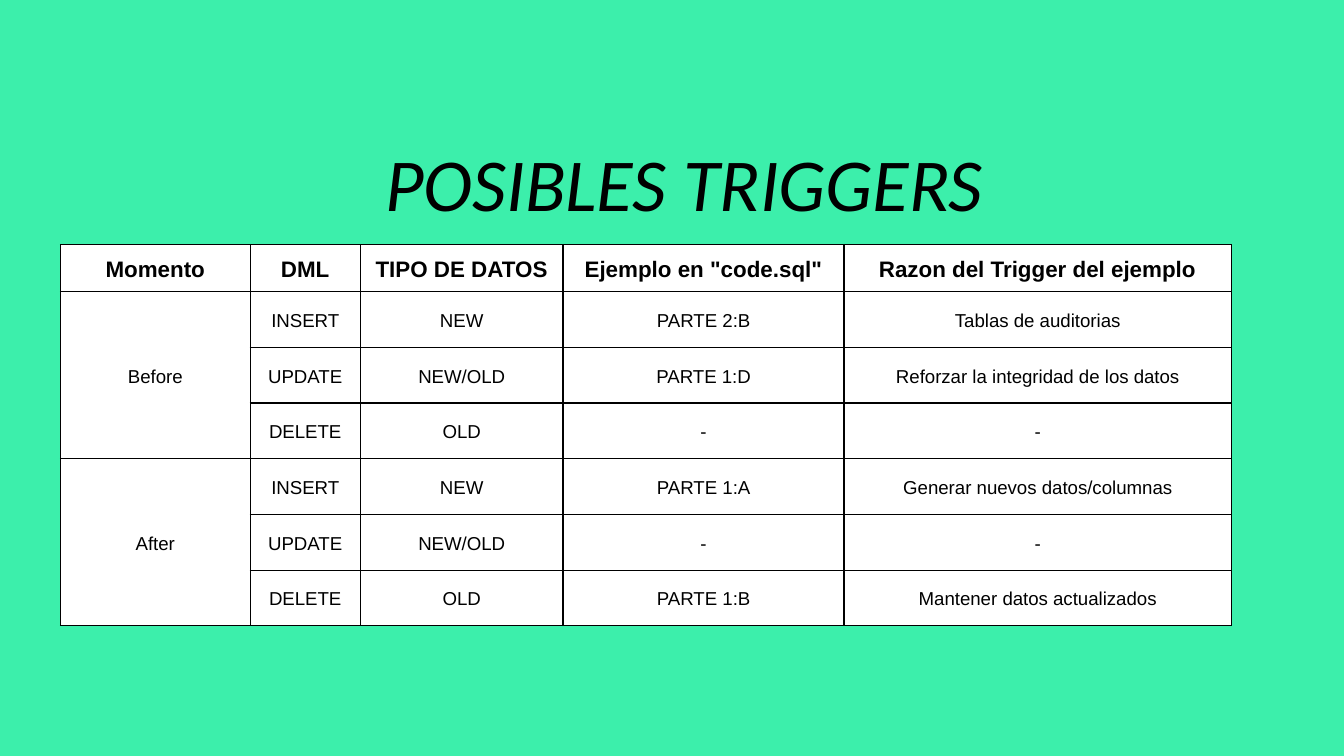
from dataclasses import dataclass

from lxml.etree import SubElement
from pptx import Presentation
from pptx.dml.color import RGBColor
from pptx.enum.text import MSO_ANCHOR, PP_ALIGN
from pptx.oxml.ns import qn
from pptx.slide import Slide
from pptx.table import _Cell
from pptx.text.text import TextFrame
from pptx.util import Pt

MINT = RGBColor(0x3C, 0xEF, 0xAB)
WHITE = RGBColor(0xFF, 0xFF, 0xFF)
BLACK = RGBColor(0x00, 0x00, 0x00)

HEADERS = (
    "Momento",
    "DML",
    "TIPO DE DATOS",
    'Ejemplo en "code.sql"',
    "Razon del Trigger del ejemplo",
)
COLUMN_WIDTHS = (101.6, 59, 108.7, 150.5, 207.4)
HEADER_HEIGHT = 25.2
ROW_HEIGHT = 29.85
BORDER_WIDTH = 0.75
TABLE_LEFT, TABLE_TOP = 32.4, 131
OPERATIONS = (("INSERT", "NEW"), ("UPDATE", "NEW/OLD"), ("DELETE", "OLD"))


@dataclass(frozen=True)
class TextStyle:
    name: str
    size: float
    bold: bool = False
    italic: bool = False
    line_spacing: float = 1.0


@dataclass(frozen=True)
class Moment:
    name: str
    examples: tuple[tuple[str, str], ...]


TITLE_STYLE = TextStyle("Calibri", 40, italic=True)
HEADER_STYLE = TextStyle("Arial", 12, bold=True, line_spacing=1.15)
BODY_STYLE = TextStyle("Arial", 10, line_spacing=1.15)

MOMENTS = (
    Moment("Before", (
        ("PARTE 2:B", "Tablas de auditorias"),
        ("PARTE 1:D", "Reforzar la integridad de los datos"),
        ("-", "-"),
    )),
    Moment("After", (
        ("PARTE 1:A", "Generar nuevos datos/columnas"),
        ("-", "-"),
        ("PARTE 1:B", "Mantener datos actualizados"),
    )),
)


def apply_format(target: object, values: dict[str, object]) -> None:
    for name, value in values.items():
        setattr(target, name, value)


def write_text(text_frame: TextFrame, text: str, style: TextStyle) -> None:
    paragraph = text_frame.paragraphs[0]
    apply_format(paragraph, {
        "alignment": PP_ALIGN.CENTER,
        "line_spacing": style.line_spacing,
    })
    run = paragraph.add_run()
    run.text = text
    apply_format(run.font, {
        "name": style.name,
        "size": Pt(style.size),
        "bold": style.bold,
        "italic": style.italic,
    })
    run.font.color.rgb = BLACK


def draw_title(slide: Slide, text: str) -> None:
    shape = slide.shapes.add_textbox(Pt(157.7), Pt(58.3), Pt(417.6), Pt(77.8))
    apply_format(shape.text_frame, {
        "word_wrap": True,
        "vertical_anchor": MSO_ANCHOR.MIDDLE,
        "margin_left": Pt(7.2),
        "margin_right": Pt(7.2),
        "margin_top": Pt(7.2),
        "margin_bottom": Pt(7.2),
    })
    write_text(shape.text_frame, text, TITLE_STYLE)


def format_cell(cell: _Cell) -> None:
    properties = cell._tc.get_or_add_tcPr()
    for side in ("lnL", "lnR", "lnT", "lnB"):
        border = SubElement(properties, qn(f"a:{side}"), w=str(Pt(BORDER_WIDTH)))
        fill = SubElement(border, qn("a:solidFill"))
        SubElement(fill, qn("a:srgbClr"), val=str(BLACK))
    cell.fill.solid()
    cell.fill.fore_color.rgb = WHITE
    apply_format(cell, {
        "vertical_anchor": MSO_ANCHOR.MIDDLE,
        "margin_left": Pt(2.25),
        "margin_right": Pt(2.25),
        "margin_top": Pt(1.5),
        "margin_bottom": Pt(1.5),
    })


def draw_trigger_table(slide: Slide, moments: tuple[Moment, ...]) -> None:
    group_size = len(OPERATIONS)
    row_heights = [HEADER_HEIGHT] + [ROW_HEIGHT] * (group_size * len(moments))
    table = slide.shapes.add_table(
        len(row_heights), len(HEADERS), Pt(TABLE_LEFT), Pt(TABLE_TOP),
        Pt(sum(COLUMN_WIDTHS)), Pt(sum(row_heights)),
    ).table
    apply_format(table, {"first_row": False, "horz_banding": False})
    for column, width in zip(table.columns, COLUMN_WIDTHS):
        column.width = Pt(width)
    for row, height in zip(table.rows, row_heights):
        row.height = Pt(height)
    for cell in table.iter_cells():
        format_cell(cell)

    for column_index, header in enumerate(HEADERS):
        write_text(table.cell(0, column_index).text_frame, header, HEADER_STYLE)
    for moment_index, moment in enumerate(moments):
        first_row = 1 + moment_index * group_size
        moment_cell = table.cell(first_row, 0)
        moment_cell.merge(table.cell(first_row + group_size - 1, 0))
        write_text(moment_cell.text_frame, moment.name, BODY_STYLE)
        rows = zip(OPERATIONS, moment.examples)
        for row_index, (operation, example) in enumerate(rows, first_row):
            for column_index, text in enumerate(operation + example, 1):
                cell = table.cell(row_index, column_index)
                write_text(cell.text_frame, text, BODY_STYLE)


def main() -> None:
    presentation = Presentation()
    apply_format(presentation, {"slide_width": Pt(720), "slide_height": Pt(405)})
    slide = presentation.slides.add_slide(presentation.slide_layouts[6])
    slide.background.fill.solid()
    slide.background.fill.fore_color.rgb = MINT
    draw_title(slide, "POSIBLES TRIGGERS")
    draw_trigger_table(slide, MOMENTS)
    presentation.save("out.pptx")


if __name__ == "__main__":
    main()
